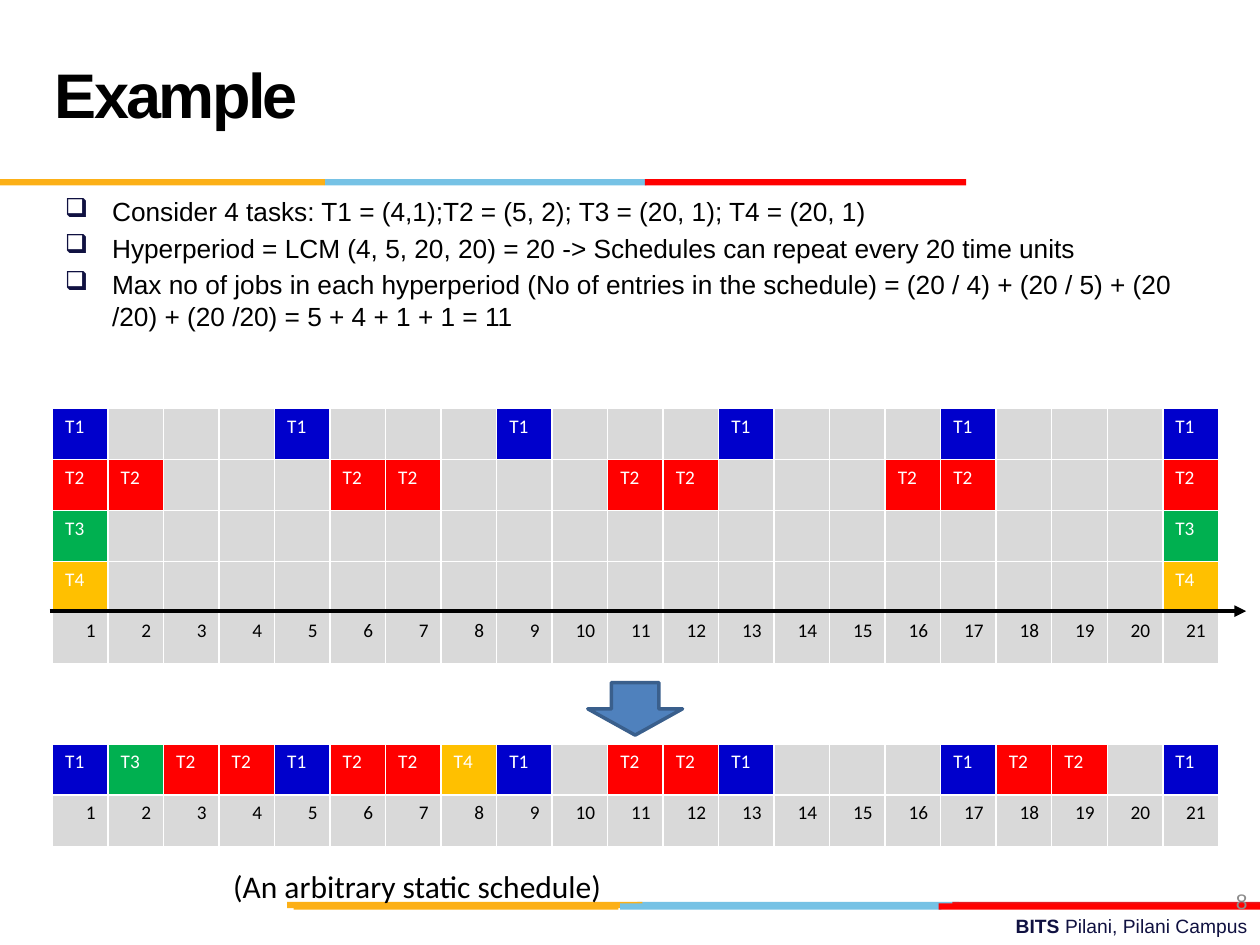
from dataclasses import dataclass

from lxml import etree
from pptx import Presentation
from pptx.dml.color import RGBColor
from pptx.enum.shapes import MSO_CONNECTOR, MSO_SHAPE
from pptx.enum.text import MSO_ANCHOR, MSO_AUTO_SIZE, PP_ALIGN
from pptx.oxml.ns import qn
from pptx.util import Cm, Pt

STRAIGHT = MSO_CONNECTOR.STRAIGHT
RECTANGLE, DOWN_ARROW = MSO_SHAPE.RECTANGLE, MSO_SHAPE.DOWN_ARROW
TOP, MIDDLE = MSO_ANCHOR.TOP, MSO_ANCHOR.MIDDLE
LEFT, RIGHT = PP_ALIGN.LEFT, PP_ALIGN.RIGHT
NO_AUTOFIT = MSO_AUTO_SIZE.NONE

BLACK, WHITE, NAVY, GREY, EMPTY = "000000", "FFFFFF", "101141", "8C8C8C", "D9D9D9"
ORANGE, SKY, CRIMSON, RED = "FCB017", "76C2E5", "E31C24", "FF0000"

SLOTS = 21
TABLE_LEFT, TABLE_WIDTH, ROW_HEIGHT = 1.06, 23.5, 1.03


@dataclass
class Task:
    name: str
    period: int
    length: int
    color: str


@dataclass
class Bar:
    left: float
    top: float
    width: float
    color: str


@dataclass
class Span:
    text: str
    size: float
    font: str = "Arial"
    color: str = BLACK
    bold: bool = False


TASKS = [
    Task("T1", 4, 1, "0000CC"),
    Task("T2", 5, 2, RED),
    Task("T3", 20, 1, "00B050"),
    Task("T4", 20, 1, "FFC000"),
]
TASK_COLORS = {task.name: task.color for task in TASKS}

# "-" marks an idle slot
SCHEDULE = "T1 T3 T2 T2 T1 T2 T2 T4 T1 - T2 T2 T1 - - - T1 T2 T2 - T1".split()

BARS = [
    Bar(12.85, 18.18, 6.48, SKY),
    Bar(19.2, 18.18, 6.2, CRIMSON),
    Bar(5.79, 18.18, 7.16, ORANGE),
    Bar(12.5, 18.21, 6.48, SKY),
    Bar(5.92, 18.21, 6.55, ORANGE),
    Bar(18.92, 18.21, 6.48, RED),
    Bar(6.55, 3.61, 6.48, SKY),
    Bar(0, 3.61, 6.55, ORANGE),
    Bar(13, 3.61, 6.48, RED),
]

BULLETS = [
    "Consider 4 tasks: T1 = (4,1);T2 = (5, 2); T3 = (20, 1); T4 = (20, 1)",
    "Hyperperiod = LCM (4, 5, 20, 20) = 20 -> Schedules can repeat every 20 time units",
    "Max no of jobs in each hyperperiod (No of entries in the schedule) = "
    "(20 / 4) + (20 / 5) + (20 /20) + (20 /20) = 5 + 4 + 1 + 1 = 11",
]


def rgb(color: str) -> RGBColor:
    return RGBColor.from_string(color)


def add_span(para, span: Span):
    run = para.add_run()
    run.text = span.text
    run.font.size, run.font.name, run.font.bold = Pt(span.size), span.font, span.bold
    run.font.color.rgb = rgb(span.color)
    return run


def add_text(page, left: float, top: float, width: float, height: float,
             spans: list[Span], align=LEFT, anchor=TOP, wrap: bool = True):
    box = page.shapes.add_textbox(Cm(left), Cm(top), Cm(width), Cm(height))
    frame = box.text_frame
    frame.word_wrap, frame.vertical_anchor = wrap, anchor
    frame.paragraphs[0].alignment = align
    for span in spans:
        add_span(frame.paragraphs[0], span)
    return frame


def add_bar(page, bar: Bar) -> None:
    shape = page.shapes.add_shape(RECTANGLE, Cm(bar.left), Cm(bar.top), Cm(bar.width), Cm(0.13))
    shape.shadow.inherit = False
    shape.fill.solid()
    shape.fill.fore_color.rgb = rgb(bar.color)
    shape.line.fill.background()


def set_title(page, text: str) -> None:
    title = page.shapes.title
    title.left, title.top, title.width, title.height = Cm(0.85), Cm(0.42), Cm(17.57), Cm(3.18)
    frame = title.text_frame
    frame.auto_size, frame.vertical_anchor = NO_AUTOFIT, MIDDLE
    para = frame.paragraphs[0]
    para.alignment, para.line_spacing = LEFT, Pt(36)
    run = add_span(para, Span(text, 36, bold=True))
    run.font._element.set("spc", "-150")


def add_bullets(page, items: list[str]) -> None:
    frame = add_text(page, 1.06, 3.81, 22.86, 3.6, [])
    for index, item in enumerate(items):
        para = frame.add_paragraph() if index else frame.paragraphs[0]
        properties = para._p.get_or_add_pPr()
        properties.set("marL", str(Cm(0.95)))
        properties.set("indent", str(-Cm(0.95)))
        color = etree.SubElement(properties, qn("a:buClr"))
        etree.SubElement(color, qn("a:srgbClr"), val=NAVY)
        etree.SubElement(properties, qn("a:buChar"), char="❑")
        para.space_before = Pt(3 if index else 0)
        add_span(para, Span(item, 15))


def fill_cell(cell, text: str, fill: str, color: str, align) -> None:
    cell.fill.solid()
    cell.fill.fore_color.rgb = rgb(fill)
    if text:
        para = cell.text_frame.paragraphs[0]
        para.alignment = align
        add_span(para, Span(text, 11, "Calibri", color))


def add_timeline(page, top: float, lanes: list[list[str]]) -> None:
    """Blank header row, one row per lane, then the slot numbers."""
    count = len(lanes) + 2
    table = page.shapes.add_table(count, SLOTS, Cm(TABLE_LEFT), Cm(top),
                                  Cm(TABLE_WIDTH), Cm(ROW_HEIGHT * count)).table
    table.horz_banding = False
    for column in table.columns:
        column.width = Cm(TABLE_WIDTH / SLOTS)
    for slot in range(SLOTS):
        table.cell(0, slot).fill.background()
        for row, lane in enumerate(lanes, start=1):
            name = lane[slot]
            text = name if name in TASK_COLORS else ""
            fill_cell(table.cell(row, slot), text, TASK_COLORS.get(name, EMPTY), WHITE, LEFT)
        fill_cell(table.cell(count - 1, slot), str(slot + 1), EMPTY, BLACK, RIGHT)


def add_time_axis(page) -> None:
    axis = page.shapes.add_connector(STRAIGHT, Cm(1), Cm(12.32), Cm(25.12), Cm(12.32))
    axis.line.color.rgb, axis.line.width = rgb(BLACK), Pt(2.25)
    etree.SubElement(axis.line._get_or_add_ln(), qn("a:tailEnd"), type="triangle")
    etree.SubElement(axis._element.spPr, qn("a:effectLst"))


def add_down_arrow(page) -> None:
    arrow = page.shapes.add_shape(DOWN_ARROW, Cm(11.85), Cm(13.76), Cm(1.91), Cm(1.06))
    arrow.shadow.inherit = False
    arrow.fill.solid()
    arrow.fill.fore_color.rgb = rgb("4F81BD")
    arrow.line.color.rgb, arrow.line.width = rgb("3A5F8C"), Pt(2)


def main() -> None:
    deck = Presentation()
    deck.slide_width, deck.slide_height = Cm(25.4), Cm(19.05)
    page = deck.slides.add_slide(deck.slide_layouts[5])

    # Footer and divider bars
    add_text(page, 9.09, 18.31, 16.31, 0.74,
             [Span("BITS ", 11, color=NAVY, bold=True),
              Span("Pilani, Pilani Campus", 11, color=NAVY)], RIGHT)
    for bar in BARS:
        add_bar(page, bar)

    # Heading and bullets
    set_title(page, "Example")
    add_bullets(page, BULLETS)
    add_text(page, 19.48, 17.65, 5.92, 1.02, [Span("8", 12, color=GREY)], RIGHT, MIDDLE)

    # Job releases per task, then the resulting schedule
    releases = [[task.name if slot % task.period < task.length else "-" for slot in range(SLOTS)]
                for task in TASKS]
    add_timeline(page, 7.2, releases)
    add_time_axis(page)
    add_timeline(page, 13.97, [SCHEDULE])
    add_down_arrow(page)
    add_text(page, 4.45, 17.35, 8.66, 1.02,
             [Span("(An arbitrary static schedule)", 18, "Calibri")], wrap=False)

    deck.save("out.pptx")


if __name__ == "__main__":
    main()
